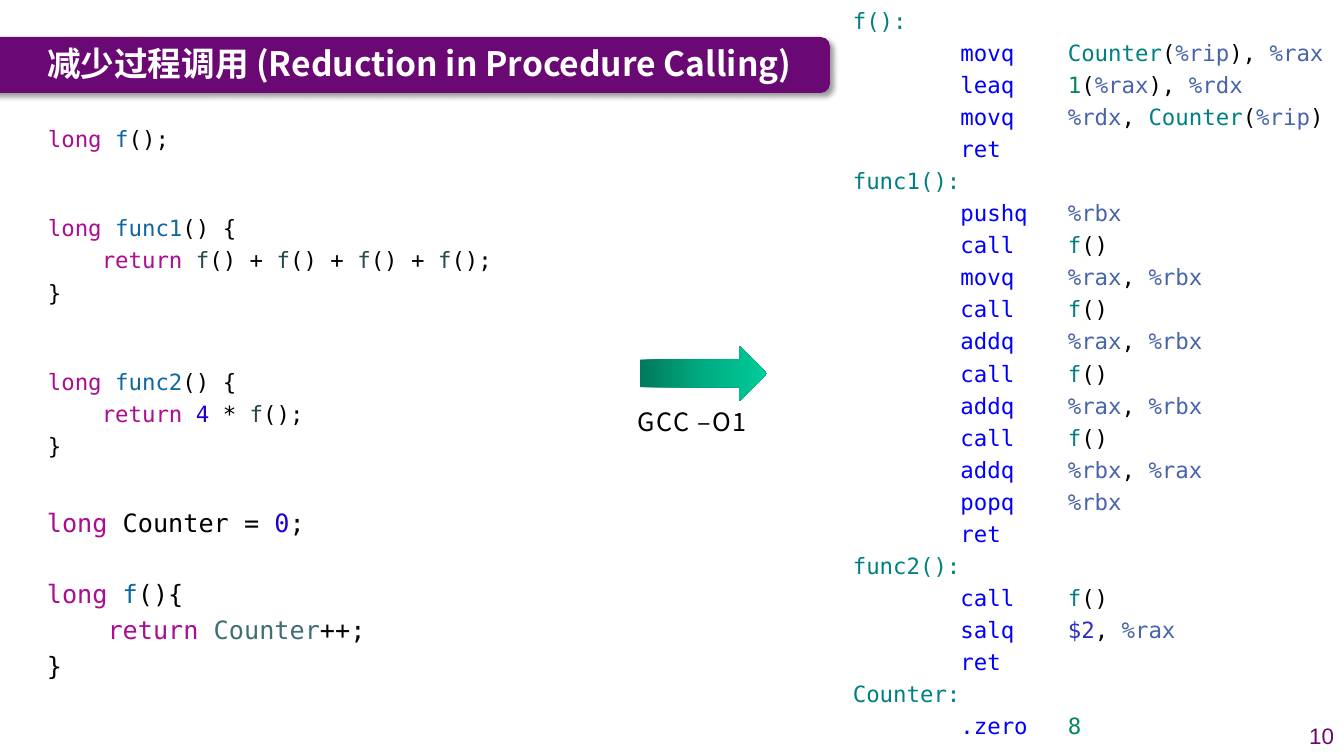
from copy import deepcopy
from dataclasses import dataclass
from itertools import groupby

from lxml import etree
from pptx import Presentation
from pptx import util as u
from pptx.dml.color import RGBColor
from pptx.enum import shapes, text
from pptx.oxml.ns import qn

EMU_PER_PX = 914400 / 100.8
MONO, SANS, ARIAL = "DejaVu Sans Mono", "Noto Sans CJK SC", "Arial"
OPERAND_TAB = 215

COLOURS = {
    "purple": "6A0874", "white": "FFFFFF", "plain": "000000",
    "keyword": "AA0D91", "declared": "0F68A0", "called": "26474B",
    "variable": "3F6E74", "literal": "1C00CF",
    "label": "008080", "opcode": "0000FF", "register": "4864AA",
    "number": "098658", "immediate": "3030C0",
    "arrow_dark": "00795B", "arrow_mid": "00AC81", "arrow_light": "00CC99",
}

# Words that take a colour in C declarations and in C function bodies
C_DECLARATION = {"long": "keyword", "f": "declared", "func1": "declared",
                 "func2": "declared", "0": "literal"}
C_BODY = {"return": "keyword", "f": "called", "Counter": "variable", "4": "literal"}


@dataclass
class Box:
    left: int
    top: int
    width: int
    height: int

    def emu(self) -> list[u.Emu]:
        return [px(v) for v in (self.left, self.top, self.width, self.height)]


@dataclass
class Line:
    runs: list[tuple[str, str]]
    gap: float  # space before, in points


@dataclass
class Listing:
    box: Box
    size: int
    lines: list[Line]


def px(n: int) -> u.Emu:
    return u.Emu(round(n * EMU_PER_PX))


def rgb(name: str) -> RGBColor:
    return RGBColor.from_string(COLOURS[name])


def tokens(code: str) -> list[str]:
    return ["".join(g) for _, g in groupby(code, lambda c: c.isalnum() or c in "%$")]


def c_lines(source: list[str], gap: float, block_gap: float) -> list[Line]:
    """Colour C code; each declaration after the first starts a new block."""
    lines = []
    for code in source:
        starts_block = code.startswith("long")
        words = C_DECLARATION if starts_block else C_BODY
        runs = [(t, words.get(t, "plain")) for t in tokens(code)]
        lines.append(Line(runs, block_gap if starts_block else gap))
    return lines


def operand_colour(token: str) -> str:
    if token.startswith("%"):
        return "register"
    if token.startswith("$"):
        return "immediate"
    if token.isdigit():
        return "number"
    return "label" if token.isalnum() else "plain"


def asm_lines(source: list[str], gap: float) -> list[Line]:
    lines = []
    for code in source:
        if code.endswith(":"):
            runs = [(code, "label")]
        else:
            op, _, operands = code.partition(" ")
            runs = [(" " * 8, "plain"), (op + "\t" if operands else op, "opcode")]
            runs += [(t, operand_colour(t)) for t in tokens(operands)]
        lines.append(Line(runs, gap))
    return lines


def add_run(p, words: str, font: str, size: int, colour: str, bold: bool = False):
    r = p.add_run()
    r.text = words
    r.font.name, r.font.size, r.font.bold = font, u.Pt(size), bold
    r.font.color.rgb = rgb(colour)
    etree.SubElement(r._r.get_or_add_rPr(), qn("a:ea"), typeface=font)
    return r


def add_text_box(s, box: Box):
    tf = s.shapes.add_textbox(*box.emu()).text_frame
    tf.word_wrap = True
    return tf


def add_listing(s, listing: Listing) -> None:
    tf = add_text_box(s, listing.box)
    for i, line in enumerate(listing.lines):
        p = tf.add_paragraph() if i else tf.paragraphs[0]
        if any("\t" in words for words, _ in line.runs):
            tabs = etree.SubElement(p._p.get_or_add_pPr(), qn("a:tabLst"))
            etree.SubElement(tabs, qn("a:tab"), pos=str(px(OPERAND_TAB)), algn="l")
        p.space_before = u.Pt(line.gap if i else 0)
        for words, colour in line.runs:
            add_run(p, words, MONO, listing.size, colour)


def add_shape(s, kind: shapes.MSO_SHAPE, box: Box):
    sp = s.shapes.add_shape(kind, *box.emu())
    sp.shadow.inherit = False
    sp.line.fill.background()
    return sp


def add_banner(s) -> None:
    sp = add_shape(s, shapes.MSO_SHAPE.ROUNDED_RECTANGLE, Box(-79, 37, 909, 56))
    sp.fill.solid()
    sp.fill.fore_color.rgb = rgb("purple")
    shadow = etree.SubElement(sp._element.spPr.find(qn("a:effectLst")), qn("a:outerShdw"),
                              blurRad=str(u.Pt(4)), dist=str(u.Pt(3)), dir="2700000",
                              algn="tl", rotWithShape="0")
    black = etree.SubElement(shadow, qn("a:srgbClr"), val=COLOURS["plain"])
    etree.SubElement(black, qn("a:alpha"), val="40000")


def add_title(s, words: str) -> None:
    sp = s.shapes.title
    sp.left, sp.top, sp.width, sp.height = Box(37, 36, 786, 55).emu()
    s.shapes._spTree.append(sp._element)  # bring in front of the banner
    tf = sp.text_frame
    tf.auto_size = text.MSO_AUTO_SIZE.NONE
    tf.vertical_anchor = text.MSO_ANCHOR.MIDDLE
    p = tf.paragraphs[0]
    p.alignment = text.PP_ALIGN.LEFT
    add_run(p, words, SANS, 24, "white", bold=True)


def add_compile_arrow(s) -> None:
    sp = add_shape(s, shapes.MSO_SHAPE.RIGHT_ARROW, Box(640, 346, 127, 55))
    sp.fill.gradient()
    sp.fill.gradient_angle = 0
    stop_list = sp._element.spPr.find(".//" + qn("a:gsLst"))
    stop_list.insert(1, deepcopy(stop_list[0]))
    for i, (stop, shade) in enumerate(zip(sp.fill.gradient_stops, ("dark", "mid", "light"))):
        stop.position = i / 2
        stop.color.rgb = rgb("arrow_" + shade)
    p = add_text_box(s, Box(628, 401, 139, 40)).paragraphs[0]
    r = add_run(p, "GCC –O1", SANS, 18, "plain")
    r._r.get_or_add_rPr().set("spc", "100")


def add_page_number(s, number: str) -> None:
    tf = add_text_box(s, Box(1289, 716, 55, 40))
    tf.vertical_anchor = text.MSO_ANCHOR.MIDDLE
    tf.paragraphs[0].alignment = text.PP_ALIGN.RIGHT
    add_run(tf.paragraphs[0], number, ARIAL, 16, "purple")


CALLERS = ["long f();",
           "long func1() {", "    return f() + f() + f() + f();", "}",
           "long func2() {", "    return 4 * f();", "}"]
COUNTER = ["long Counter = 0;", "long f(){", "    return Counter++;", "}"]
ASSEMBLY = ["f():", "movq Counter(%rip), %rax", "leaq 1(%rax), %rdx",
            "movq %rdx, Counter(%rip)", "ret",
            "func1():", "pushq %rbx", "call f()", "movq %rax, %rbx",
            *["call f()", "addq %rax, %rbx"] * 2,
            "call f()", "addq %rbx, %rax", "popq %rbx", "ret",
            "func2():", "call f()", "salq $2, %rax", "ret",
            "Counter:", ".zero 8"]

LISTINGS = [
    Listing(Box(38, 120, 635, 356), 16, c_lines(CALLERS, 3.7, 44.8)),
    Listing(Box(843, 2, 501, 754), 16, asm_lines(ASSEMBLY, 3.7)),
    Listing(Box(37, 502, 484, 187), 18, c_lines(COUNTER, 4.2, 29.4)),
]


def main() -> None:
    prs = Presentation()
    prs.slide_width, prs.slide_height = px(1344), px(756)
    s = prs.slides.add_slide(prs.slide_layouts[5])

    # Code before and after compiling
    for listing in LISTINGS:
        add_listing(s, listing)
    add_compile_arrow(s)

    # Heading and page number
    add_banner(s)
    add_title(s, "减少过程调用 (Reduction in Procedure Calling)")
    add_page_number(s, "10")
    prs.save("out.pptx")


if __name__ == "__main__":
    main()
